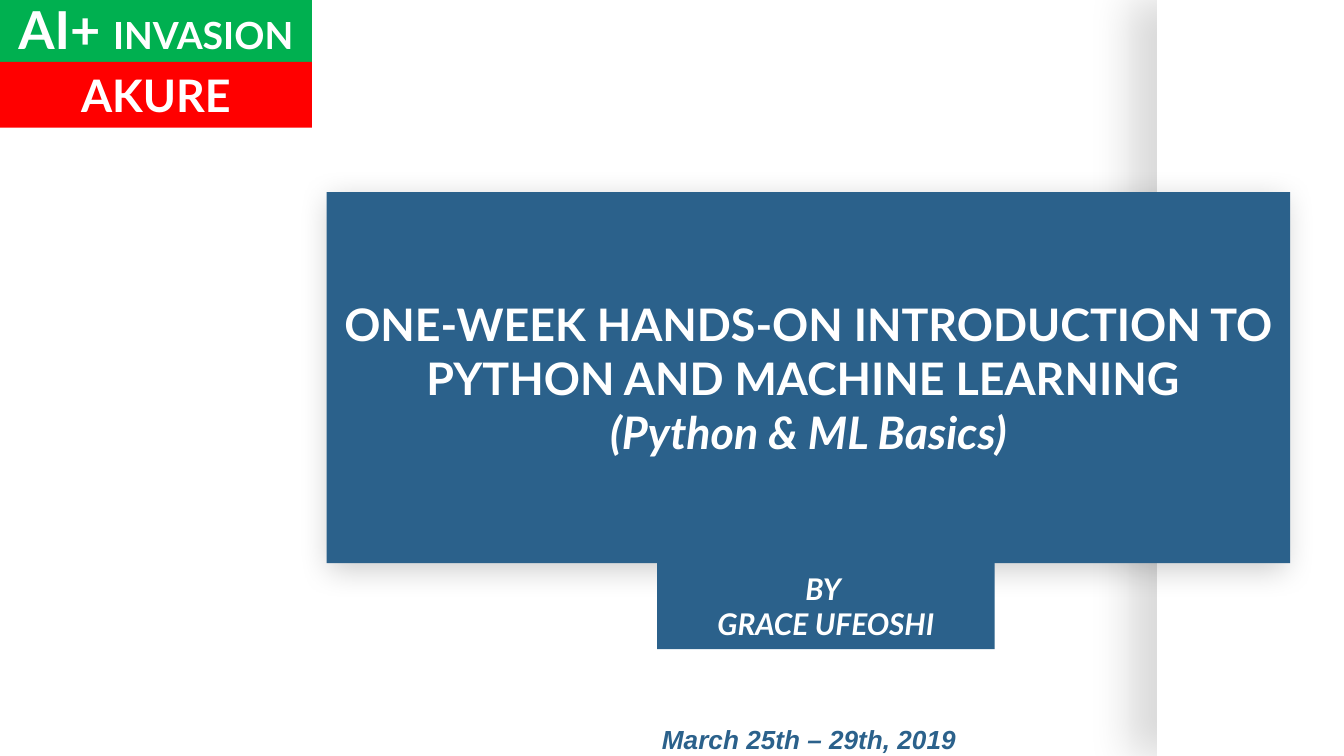
from lxml.etree import SubElement
from pptx import Presentation
from pptx.dml.color import RGBColor
from pptx.enum.shapes import MSO_SHAPE
from pptx.enum.text import MSO_ANCHOR, MSO_AUTO_SIZE, PP_ALIGN
from pptx.oxml.ns import qn
from pptx.util import Inches, Pt

WIDTH = 10
HEIGHT = WIDTH * 9 / 16
BLUE, WHITE = "2B618B", "FFFFFF"

# Box (left, top, width, height), fill, shadow (opacity %, blur pt, distance pt, angle)
PANELS = [
    ((8.61, 0, 1.39, HEIGHT), WHITE, (15, 22.5, 15, 180)),
    ((2.45, 1.43, 7.12, 2.76), "FFB000", (20, 16.9, 3.8, 90)),
]
TITLE_BOX = (2.43, 1.43, 7.17, 2.76)
# Paragraphs are lists of (text, size, italic); a closing \v is a line break
TITLE = [[("ONE-WEEK HANDS-ON INTRODUCTION TO PYTHON AND MACHINE LEARNING \v", 24, False),
          ("(Python & ML Basics)", 24, True)]]
LABELS = [
    ((0, -0.03, 2.32, 0.49), "00B050", [[("AI+ ", 28, False), ("INVASION", 20, False)]]),
    ((0, 0.46, 2.32, 0.49), "FF0000", [[("AKURE", 24, False)]]),
    ((4.89, 4.19, 2.51, 0.64), BLUE, [[("BY ", 16, True)], [("GRACE UFEOSHI", 16, True)]]),
]
DATE_BOX = (4.82, 5.33, 2.4, 0.34)
DATE = [[("March 25th – 29th, 2019", 14, True)]]


def rgb(value):
    return RGBColor.from_string(value)


def fill_shape(s, color):
    s.fill.solid()
    s.fill.fore_color.rgb = rgb(color)
    s.line.fill.background()


def add_rect(slide, box, color):
    s = slide.shapes.add_shape(MSO_SHAPE.RECTANGLE, *map(Inches, box))
    s.shadow.inherit = False
    fill_shape(s, color)
    return s


def add_shadow(s, opacity, blur, distance, angle):
    effects = s.element.spPr.find(qn("a:effectLst"))
    shadow = SubElement(effects, qn("a:outerShdw"), blurRad=str(Pt(blur)),
                        dist=str(Pt(distance)), dir=str(angle * 60000),
                        algn="ctr", rotWithShape="0")
    color = SubElement(shadow, qn("a:srgbClr"), val="000000")
    SubElement(color, qn("a:alpha"), val=str(opacity * 1000))


def write(s, paragraphs, font="Lato", color=WHITE, anchor=MSO_ANCHOR.MIDDLE,
          wrap=True, fit=MSO_AUTO_SIZE.NONE, inset=0.1):
    tf = s.text_frame
    tf.word_wrap, tf.auto_size, tf.vertical_anchor = wrap, fit, anchor
    tf.margin_left = tf.margin_right = Inches(0.1)
    tf.margin_top = tf.margin_bottom = Inches(inset)
    for i, runs in enumerate(paragraphs):
        p = tf.add_paragraph() if i else tf.paragraphs[0]
        p.alignment = PP_ALIGN.CENTER
        for text, size, italic in runs:
            r = p.add_run()
            r.text = text.rstrip("\v")
            r.font.name, r.font.size = font, Pt(size)
            r.font.bold, r.font.italic = True, italic
            r.font.color.rgb = rgb(color)
            if text.endswith("\v"):
                p.add_line_break()


prs = Presentation()
prs.slide_width, prs.slide_height = Inches(WIDTH), Inches(HEIGHT)
slide = prs.slides.add_slide(prs.slide_layouts[5])

for box, color, shadow in PANELS:
    add_shadow(add_rect(slide, box, color), *shadow)

title = slide.shapes.title
title.left, title.top, title.width, title.height = map(Inches, TITLE_BOX)
fill_shape(title, BLUE)
write(title, TITLE)
# Bring the title in front of the panels
title.element.getparent().append(title.element)

for box, color, paragraphs in LABELS:
    write(add_rect(slide, box, color), paragraphs)

date = slide.shapes.add_textbox(*map(Inches, DATE_BOX))
write(date, DATE, font="Arial", color=BLUE, anchor=MSO_ANCHOR.TOP, wrap=False,
      fit=MSO_AUTO_SIZE.SHAPE_TO_FIT_TEXT, inset=0.05)

prs.save("out.pptx")
